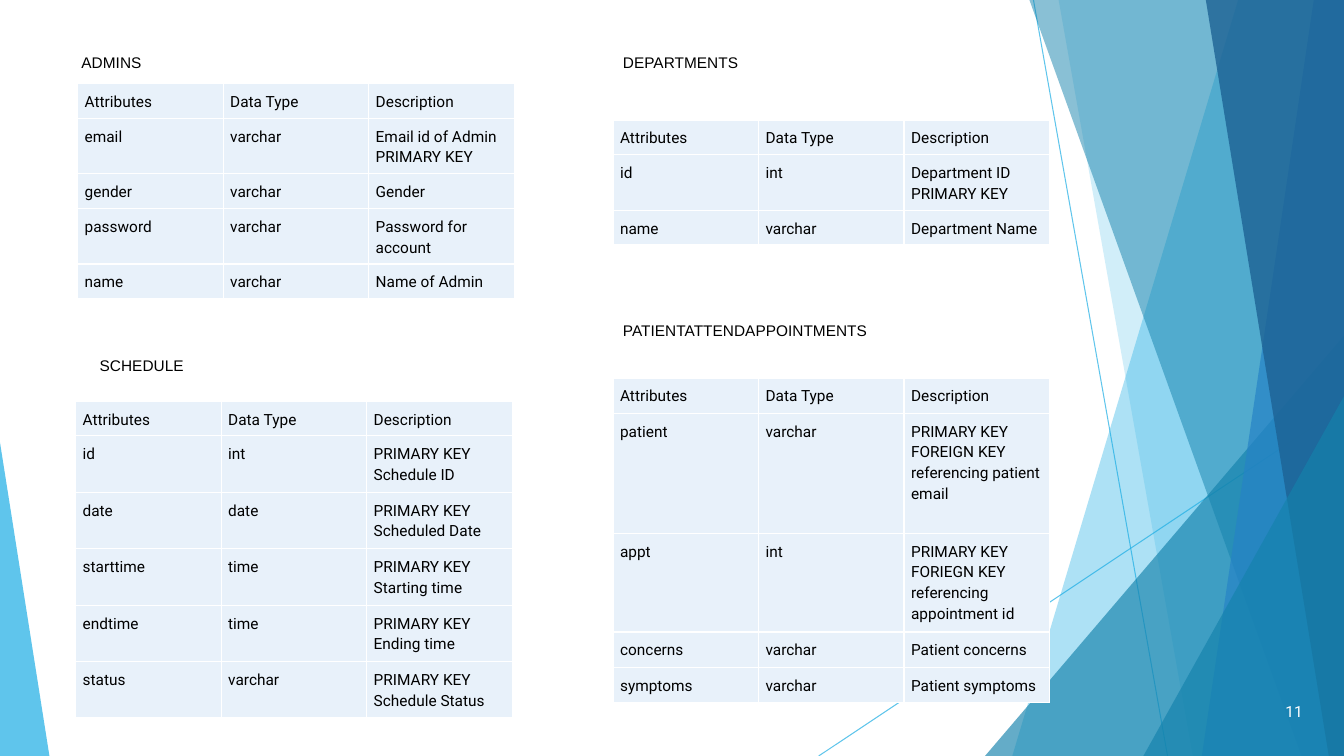
from lxml.etree import SubElement
from pptx import Presentation
from pptx.dml.color import RGBColor
from pptx.enum.shapes import MSO_CONNECTOR as CONNECTOR, MSO_SHAPE as SHAPE
from pptx.enum.text import MSO_ANCHOR as ANCHOR, PP_ALIGN as ALIGN
from pptx.oxml.ns import qn
from pptx.util import Inches, Pt

COLORS = {
    "sky": "1CADE4", "teal": "1482AC", "blue": "2683C6", "navy": "1D6294",
    "cell": "E8F1FA", "text": "000000", "white": "FFFFFF",
}


def set_solid(fill, color, opacity):
    fill.solid()
    fill.fore_color.rgb = RGBColor.from_string(COLORS[color])
    tint = fill._xPr.find(qn("a:solidFill"))[0]
    SubElement(tint, qn("a:alpha"), val=str(opacity * 1000))


def write_line(para, words, font, color="text"):
    span = para.add_run()
    span.text = words
    span.font.size = Pt(11)
    span.font.name = font
    span.font.color.rgb = RGBColor.from_string(COLORS[color])


deck = Presentation()
deck.slide_width, deck.slide_height = Inches(13.33), Inches(7.5)
page = deck.slides.add_slide(deck.slide_layouts[6])

# Thin crossing lines
for x1, y1, x2, y2 in [(10.25, 0, 11.58, 7.5), (13.33, 4.03, 8.12, 7.5)]:
    line = page.shapes.add_connector(
        CONNECTOR.STRAIGHT, Inches(x1), Inches(y1), Inches(x2), Inches(y2))
    line.line.width = Pt(0.75)
    set_solid(line.line.fill, "sky", 70)
    SubElement(line._element.spPr, qn("a:effectLst"))

# Translucent facets: bands give top and bottom x of the slanted left edge,
# triangles give left, top, width, height and apex position
facets = [
    ("band", (12.28, 10.04), "sky", 36),
    ("band", (10.5, 11.83), "sky", 20),
    ("triangle", (9.77, 3.33, 3.56, 4.17, 1), "teal", 66),
    ("band", (10.21, 12.91), "teal", 50),
    ("band", (13.03, 11.92), "blue", 70),
    ("band", (11.96, 13.18), "navy", 80),
    ("triangle", (11.34, 3.93, 1.99, 3.57, 1), "teal", 66),
    ("triangle", (0, 4.39, 0.49, 3.11, 0), "sky", 70),
]
for kind, place, color, opacity in facets:
    if kind == "band":
        top_x, bottom_x = place
        outline = page.shapes.build_freeform(Inches(top_x), 0)
        corners = [(13.33, 0), (13.33, 7.5), (bottom_x, 7.5)]
        outline.add_line_segments([(Inches(x), Inches(y)) for x, y in corners])
        facet = outline.convert_to_shape()
    else:
        *frame, apex = place
        facet = page.shapes.add_shape(
            SHAPE.ISOSCELES_TRIANGLE, *[Inches(side) for side in frame])
        facet.adjustments[0] = apex
    set_solid(facet.fill, color, opacity)
    facet.line.fill.background()
    facet.shadow.inherit = False

# Database tables: left, top, row heights, rows below the header
header = ("Attributes", "Data Type", "Description")
schemas = [
    (0.77, 0.83, [0.34, 0.55, 0.34, 0.55, 0.34], [
        ("email", "varchar", "Email id of Admin\nPRIMARY KEY"),
        ("gender", "varchar", "Gender"),
        ("password", "varchar", "Password for account"),
        ("name", "varchar", "Name of Admin"),
    ]),
    (6.08, 1.19, [0.34, 0.55, 0.34], [
        ("id", "int", "Department ID\nPRIMARY KEY"),
        ("name", "varchar", "Department Name"),
    ]),
    (6.08, 3.75, [0.35, 1.19, 0.98, 0.35, 0.35], [
        ("patient", "varchar",
         "PRIMARY KEY\nFOREIGN KEY referencing patient email"),
        ("appt", "int", "PRIMARY KEY\nFORIEGN KEY referencing appointment id"),
        ("concerns", "varchar", "Patient concerns"),
        ("symptoms", "varchar", "Patient symptoms"),
    ]),
    (0.75, 3.98, [0.34] + [0.56] * 5, [
        ("id", "int", "PRIMARY KEY\nSchedule ID"),
        ("date", "date", "PRIMARY KEY\nScheduled Date"),
        ("starttime", "time", "PRIMARY KEY\nStarting time"),
        ("endtime", "time", "PRIMARY KEY\nEnding time"),
        ("status", "varchar", "PRIMARY KEY\nSchedule Status"),
    ]),
]
for left, top, heights, fields in schemas:
    table = page.shapes.add_table(
        len(heights), 3, Inches(left), Inches(top),
        Inches(4.33), Inches(sum(heights))).table
    table.first_row = table.horz_banding = False
    for row, height, words in zip(table.rows, heights, [header] + fields):
        row.height = Inches(height)
        for cell, content in zip(row.cells, words):
            cell.margin_left = cell.margin_right = Inches(0.07)
            cell.margin_top = cell.margin_bottom = Inches(0.07)
            for number, text in enumerate(content.split("\n")):
                frame = cell.text_frame
                para = frame.add_paragraph() if number else frame.paragraphs[0]
                para.line_spacing = 1.15
                write_line(para, text, "Roboto")
            # White cell borders, then the fill
            for side in ("lnL", "lnR", "lnT", "lnB"):
                border = SubElement(
                    cell._tc.get_or_add_tcPr(), qn("a:" + side), w=str(Pt(1)))
                paint = SubElement(border, qn("a:solidFill"))
                SubElement(paint, qn("a:srgbClr"), val=COLORS["white"])
            cell.fill.solid()
            cell.fill.fore_color.rgb = RGBColor.from_string(COLORS["cell"])

# Table names
for name, left, top, width in [
    ("ADMINS", 0.71, 0.47, 0.8),
    ("DEPARTMENTS", 6.08, 0.47, 1.37),
    ("SCHEDULE", 0.89, 3.48, 1.05),
    ("PATIENTATTENDAPPOINTMENTS", 6.08, 3.13, 2.8),
]:
    box = page.shapes.add_textbox(
        Inches(left), Inches(top), Inches(width), Inches(0.29))
    box.text_frame.word_wrap = False
    box.text_frame.vertical_anchor = ANCHOR.MIDDLE
    write_line(box.text_frame.paragraphs[0], name, "Arial")

# Page number
box = page.shapes.add_textbox(
    Inches(12.27), Inches(6.86), Inches(0.75), Inches(0.4))
box.text_frame.word_wrap = True
box.text_frame.vertical_anchor = ANCHOR.MIDDLE
para = box.text_frame.paragraphs[0]
para.alignment = ALIGN.RIGHT
write_line(para, "11", "Roboto", "white")

deck.save("out.pptx")
